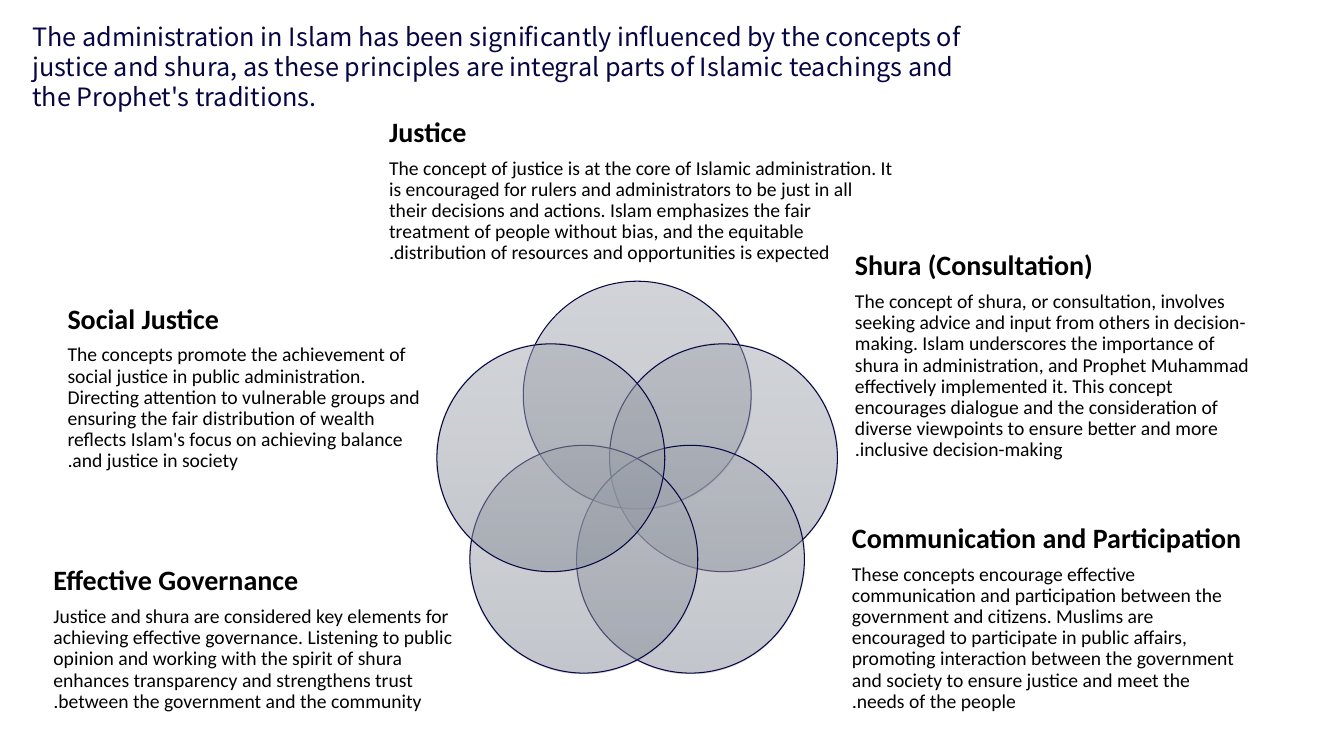
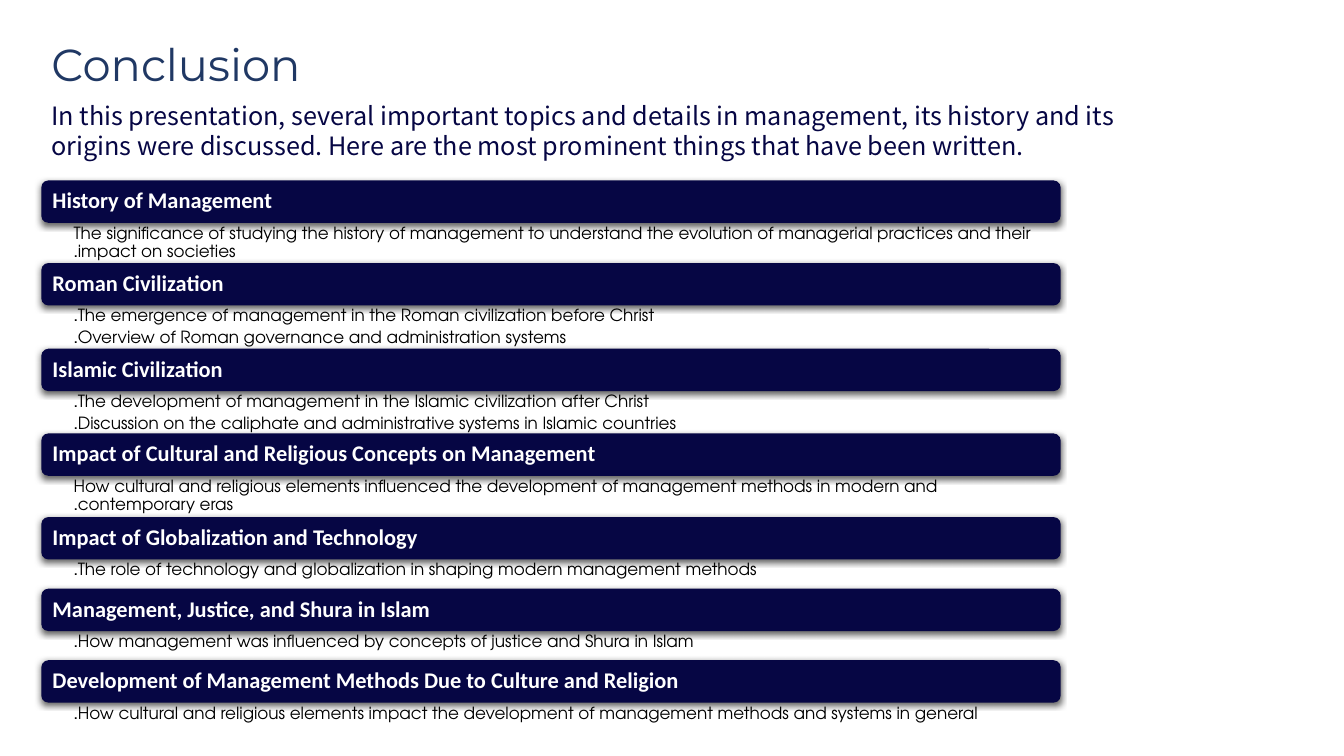
"""Build two slides on justice, shura and management, with a Venn ring and a list of topics."""
import math

import pptx
import pptx.dml.color
import pptx.enum.shapes
import pptx.enum.text
import pptx.oxml
import pptx.oxml.ns
import pptx.util

Inches, Pt = pptx.util.Inches, pptx.util.Pt
SHAPE = pptx.enum.shapes.MSO_SHAPE
ANCHOR = pptx.enum.text.MSO_ANCHOR
LEFT = pptx.enum.text.PP_ALIGN.LEFT
NS = pptx.oxml.ns.nsdecls("a")

NAVY, BLUE, BLACK, WHITE = "060644", "203864", "000000", "FFFFFF"
GRADIENT = [(0, "A5AAB3"), (50, "999EA7"), (100, "878E9A")]

LEAD = {"font": {"name": "Noto Sans CJK JP", "size": Pt(18)}, "color": NAVY,
        "para": {"line_spacing": Pt(21.5)}}
TITLE = {"font": {"name": "Montserrat", "size": Pt(32)}, "color": BLUE, "para": {}}
HEADING = {"font": {"name": "Calibri", "size": Pt(20), "bold": True}, "color": BLACK,
           "para": {"line_spacing": 0.9, "space_after": Pt(7)}, "rtl": True}
DETAIL = {"font": {"name": "Calibri", "size": Pt(14)}, "color": BLACK,
          "para": {"level": 1, "line_spacing": 0.9, "space_after": Pt(2)},
          "rtl": True, "hang": 0.12}
BAR = {"font": {"name": "Calibri", "size": Pt(16), "bold": True}, "color": WHITE,
       "para": {"line_spacing": 0.9}, "rtl": True}
POINT = {"font": {"name": "TeX Gyre Adventor", "size": Pt(12)}, "color": BLACK,
         "para": {"level": 1, "line_spacing": 0.9, "space_after": Pt(2.4)},
         "rtl": True, "hang": 0.12}

STATEMENT = ("The administration in Islam has been significantly influenced by the concepts of "
             "justice and shura, as these principles are integral parts of Islamic teachings "
             "and the Prophet's traditions.")
PRINCIPLES = [
    ("Justice", (3.86, 1.27, 5.04, 1.25),
     "The concept of justice is at the core of Islamic administration. It is encouraged for "
     "rulers and administrators to be just in all their decisions and actions. Islam emphasizes "
     "the fair treatment of people without bias, and the equitable distribution of resources "
     "and opportunities is expected."),
    ("Shura (Consultation)", (8.48, 2.71, 4.13, 1.65),
     "The concept of shura, or consultation, involves seeking advice and input from others in "
     "decision-making. Islam underscores the importance of shura in administration, and Prophet "
     "Muhammad effectively implemented it. This concept encourages dialogue and the "
     "consideration of diverse viewpoints to ensure better and more inclusive decision-making."),
    ("Communication and Participation", (8.45, 5.31, 3.96, 1.65),
     "These concepts encourage effective communication and participation between the government "
     "and citizens. Muslims are encouraged to participate in public affairs, promoting "
     "interaction between the government and society to ensure justice and meet the needs of "
     "the people."),
    ("Effective Governance", (0.53, 5.52, 4.26, 1.65),
     "Justice and shura are considered key elements for achieving effective governance. "
     "Listening to public opinion and working with the spirit of shura enhances transparency "
     "and strengthens trust between the government and the community."),
    ("Social Justice", (0.67, 3.03, 3.73, 1.65),
     "The concepts promote the achievement of social justice in public administration. "
     "Directing attention to vulnerable groups and ensuring the fair distribution of wealth "
     "reflects Islam's focus on achieving balance and justice in society."),
]
RING_X, RING_Y, RING_RADIUS, CIRCLE = 6.32, 4.82, 0.9, 2.26

SUMMARY = ("In this presentation, several important topics and details in management, its "
           "history and its origins were discussed. Here are the most prominent things that "
           "have been written.")
TOPICS = [
    ("History of Management", 0.4,
     ["The significance of studying the history of management to understand the evolution of "
      "managerial practices and their impact on societies."]),
    ("Roman Civilization", 0.43,
     ["The emergence of management in the Roman civilization before Christ.",
      "Overview of Roman governance and administration systems."]),
    ("Islamic Civilization", 0.42,
     ["The development of management in the Islamic civilization after Christ.",
      "Discussion on the caliphate and administrative systems in Islamic countries."]),
    ("Impact of Cultural and Religious Concepts on Management", 0.41,
     ["How cultural and religious elements influenced the development of management methods in "
      "modern and contemporary eras."]),
    ("Impact of Globalization and Technology", 0.29,
     ["The role of technology and globalization in shaping modern management methods."]),
    ("Management, Justice, and Shura in Islam", 0.29,
     ["How management was influenced by concepts of justice and Shura in Islam."]),
    ("Development of Management Methods Due to Culture and Religion", 0.29,
     ["How cultural and religious elements impact the development of management methods and "
      "systems in general."]),
]
LIST_X, LIST_Y, LIST_W, BAR_H = 0.41, 1.79, 10.11, 0.42


def rgb(value):
    return pptx.dml.color.RGBColor.from_string(value)


def assign(target, values):
    for name, value in values.items():
        setattr(target, name, value)


def place(sp, box):
    assign(sp, dict(zip(("left", "top", "width", "height"), map(Inches, box))))


def write(sp, lines, insets=(0.1, 0.05, 0.1, 0.05), anchor=ANCHOR.TOP):
    tf = sp.text_frame
    assign(tf, {"word_wrap": True, "vertical_anchor": anchor,
                "auto_size": pptx.enum.text.MSO_AUTO_SIZE.NONE})
    sides = ("margin_left", "margin_top", "margin_right", "margin_bottom")
    assign(tf, dict(zip(sides, map(Inches, insets))))
    for i, (text, style) in enumerate(lines):
        p = tf.add_paragraph() if i else tf.paragraphs[0]
        assign(p, {"alignment": LEFT, **style["para"]})
        pPr = p._p.get_or_add_pPr()
        if style.get("rtl"):
            pPr.set("rtl", "1")
        if "hang" in style:
            pPr.set("marL", str(Inches(style["hang"])))
            pPr.set("indent", str(-Inches(style["hang"])))
        r = p.add_run()
        r.text = text
        assign(r.font, style["font"])
        r.font.color.rgb = rgb(style["color"])


def add_text(s, box, lines, **layout):
    write(s.shapes.add_textbox(*map(Inches, box)), lines, **layout)


def add_shape(s, kind, box, fill):
    sp = s.shapes.add_shape(kind, *map(Inches, box))
    sp.shadow.inherit = False
    sp.fill.solid()
    sp.fill.fore_color.rgb = rgb(fill)
    return sp


def add_slide(prs, box, text, style):
    s = prs.slides.add_slide(prs.slide_layouts[5])
    place(s.shapes.title, box)
    write(s.shapes.title, [(text, style)])
    return s


def add_circle(s, index, count):
    angle = 2 * math.pi * index / count
    x = RING_X + RING_RADIUS * math.sin(angle) - CIRCLE / 2
    y = RING_Y - RING_RADIUS * math.cos(angle) - CIRCLE / 2
    sp = add_shape(s, SHAPE.OVAL, (x, y, CIRCLE, CIRCLE), GRADIENT[0][1])
    sp.line.color.rgb = rgb(NAVY)
    sp.line.width = Pt(0.75)
    stops = "".join(f'<a:gs pos="{pos * 1000}"><a:srgbClr val="{color}">'
                    f'<a:alpha val="50000"/></a:srgbClr></a:gs>' for pos, color in GRADIENT)
    grad = pptx.oxml.parse_xml(f'<a:gradFill {NS} rotWithShape="1"><a:gsLst>{stops}</a:gsLst>'
                               f'<a:lin ang="5400000" scaled="0"/></a:gradFill>')
    spPr = sp._element.spPr
    spPr.replace(spPr.find(pptx.oxml.ns.qn("a:solidFill")), grad)


def add_bar(s, y, text):
    sp = add_shape(s, SHAPE.ROUNDED_RECTANGLE, (LIST_X, y, LIST_W, BAR_H), NAVY)
    sp.line.fill.background()
    shadow = pptx.oxml.parse_xml(
        f'<a:outerShdw {NS} blurRad="{Pt(4.5)}" dist="{Pt(1.5)}" dir="5400000" rotWithShape="0">'
        f'<a:srgbClr val="{BLACK}"><a:alpha val="63000"/></a:srgbClr></a:outerShdw>')
    sp._element.spPr.find(pptx.oxml.ns.qn("a:effectLst")).append(shadow)
    write(sp, [(text, BAR)], insets=(0.09, 0.07, 0.09, 0.07), anchor=ANCHOR.MIDDLE)


def build_principles(prs):
    s = add_slide(prs, (0.22, 0.16, 9.51, 1.01), STATEMENT, LEAD)
    for i, (heading, box, detail) in enumerate(PRINCIPLES):
        add_circle(s, i, len(PRINCIPLES))
        add_text(s, box, [(heading, HEADING), (detail, DETAIL)],
                 insets=(0, 0, 0, 0), anchor=ANCHOR.MIDDLE)


def build_conclusion(prs):
    s = add_slide(prs, (0.41, 0.31, 3.24, 0.64), "Conclusion", TITLE)
    add_text(s, (0.41, 0.95, 11.27, 0.71), [(SUMMARY, LEAD)])
    y = LIST_Y
    for heading, height, points in TOPICS:
        add_bar(s, y, heading)
        add_text(s, (LIST_X, y + BAR_H, LIST_W, height), [(point, POINT) for point in points],
                 insets=(0.32, 0.02, 0.09, 0.02))
        y += BAR_H + height


def main():
    prs = pptx.Presentation()
    assign(prs, {"slide_width": Inches(13.33), "slide_height": Inches(7.5)})
    build_principles(prs)
    build_conclusion(prs)
    prs.save("out.pptx")


if __name__ == "__main__":
    main()
